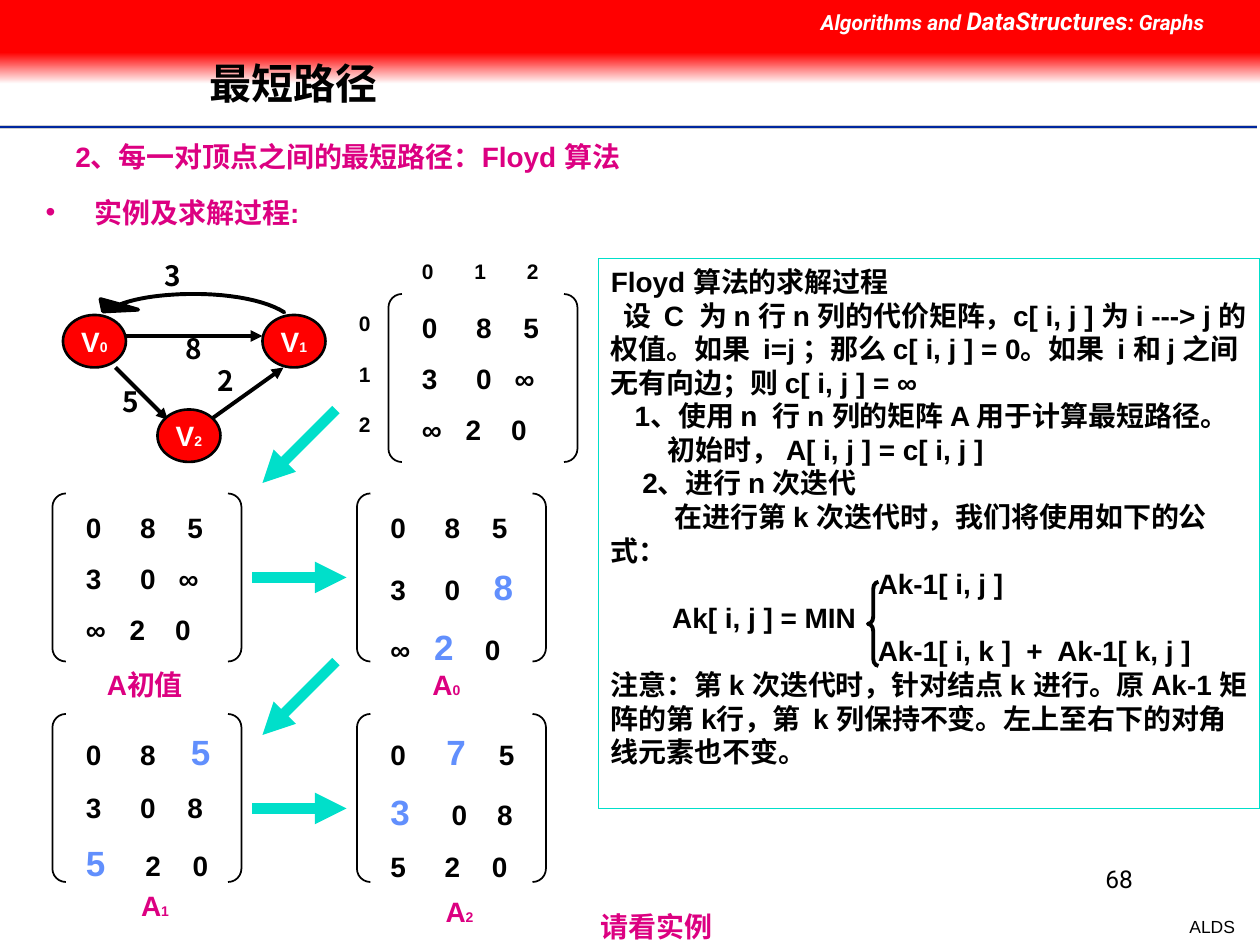
"""Build the slide on Floyd's all-pairs shortest path algorithm with a worked example."""
from lxml.etree import SubElement
from pptx import Presentation
from pptx.dml.color import RGBColor
from pptx.enum.shapes import MSO_CONNECTOR, MSO_SHAPE
from pptx.enum.text import MSO_ANCHOR, PP_ALIGN
from pptx.oxml.ns import qn
from pptx.util import Pt

RED = RGBColor(0xFF, 0x00, 0x00)
WHITE = RGBColor(0xFF, 0xFF, 0xFF)
BLACK = RGBColor(0x00, 0x00, 0x00)
NAVY = RGBColor(0x00, 0x27, 0x9F)
SILVER = RGBColor(0xCE, 0xCE, 0xCE)
MAGENTA = RGBColor(0xDC, 0x00, 0x81)
TEAL = RGBColor(0x00, 0xDF, 0xCA)
BLUE = RGBColor(0x61, 0x8F, 0xFD)

RULES = [(72.7, SILVER, 2), (72.7, NAVY, 1), (74.2, WHITE, 1)]
VERTICES = [("0", 36, 180), ("1", 150, 180), ("2", 90, 234)]
EDGES = [(72, 192, 150, 192), (66, 210, 96, 240), (120, 240, 162, 210)]
WEIGHTS = [("3", 78, 144), ("8", 90, 186), ("5", 54, 216), ("2", 108, 204)]
STEPS = [(192, 234, 150, 276), (144, 330, 198, 330),
         (192, 378, 150, 420), (144, 462, 198, 462)]
ARC = [[(68.5, 174), (79, 170), (94.5, 168), (111, 168)],
       [(111, 168), (133, 168), (152.5, 172), (162.5, 178.5)]]
ARC_HEAD = [(57.5, 171), (59, 178), (79, 177)]

# Each cell is an offset from the row start and a value; a star marks an updated value.
COSTS = [[(0, "0"), (31, "8"), (58, "5")],
         [(0, "3"), (31, "0"), (53, "∞")],
         [(0, "∞"), (25, "2"), (51, "0")]]
A0 = [[(0, "0"), (31, "8"), (58, "5")],
      [(0, "3"), (31, "0"), (59, "8*")],
      [(0, "∞"), (25, "2*"), (54, "0")]]
A1 = [[(0, "0"), (31, "8"), (60, "5*")],
      [(0, "3"), (31, "0"), (58, "8")],
      [(0, "5*"), (34, "2"), (61, "0")]]
A2 = [[(0, "0"), (32, "7*"), (62, "5")],
      [(0, "3*"), (35, "0"), (61, "8")],
      [(0, "5"), (31, "2"), (58, "0")]]
MATRICES = [(222, 168, COSTS), (30, 282, COSTS), (204, 282, A0),
            (30, 408, A1), (204, 408, A2)]
COLUMN_INDEX = [(0, "0"), (30, "1"), (60, "2")]
CAPTIONS = [("A初值", "", 54, 378), ("A", "0", 240, 378),
            ("A", "1", 73.5, 504), ("A", "2", 247.5, 507.5)]

# Each line has its left margin, its first-line indent and its wording.
EXPLANATION = [
    (0, 0, "Floyd 算法的求解过程"),
    (0, 7, "设  C  为 n 行 n 列的代价矩阵，c[ i, j ] 为 i ---> j 的权值。如果  i=j ；"
           "那么 c[ i, j ] = 0。如果  i 和 j 之间无有向边；则 c[ i, j ] = ∞"),
    (0, 13.6, "1、使用 n  行 n 列的矩阵 A 用于计算最短路径。"),
    (0, 32.6, "初始时， A[ i, j ] = c[ i, j ]"),
    (0, 18, "2、进行 n 次迭代"),
    (0, 36.6, "在进行第 k 次迭代时，我们将使用如下的公式："),
    (152.5, 0, "Ak-1[ i, j ]"),
    (35, 0, "Ak[ i, j ] = MIN"),
    (152.5, 0, "Ak-1[ i, k ]  +  Ak-1[ k, j ]"),
    (0, 0, "注意：第 k 次迭代时，针对结点 k 进行。原 Ak-1 矩阵的第 k行，第  k 列保持不变。"
           "左上至右下的对角线元素也不变。"),
]

deck = Presentation()
deck.slide_width, deck.slide_height = Pt(720), Pt(540)
shapes = deck.slides.add_slide(deck.slide_layouts[6]).shapes


def style(font, size=16, color=BLACK, name="Arial", bold=True, italic=None):
    font.size, font.name, font.bold, font.italic = Pt(size), name, bold, italic
    font.color.rgb = color


def add_paragraph(frame, first, wording, margin=0, indent=0, before=0, align=None,
                  stops=(), bullet=None, **look):
    paragraph = frame.paragraphs[0] if first else frame.add_paragraph()
    paragraph.alignment = align
    if before and not first:
        paragraph.space_before = Pt(before)
    properties = paragraph._p.get_or_add_pPr()
    properties.set("hangingPunct", "0")
    if margin or indent:
        properties.set("marL", str(Pt(margin)))
        properties.set("indent", str(Pt(indent)))
    if bullet:
        SubElement(properties, qn("a:buFont")).set("typeface", "Arial")
        SubElement(properties, qn("a:buChar")).set("char", bullet)
    if stops:
        tabs = SubElement(properties, qn("a:tabLst"))
        for stop in stops:
            SubElement(tabs, qn("a:tab"), pos=str(Pt(stop)), algn="l")
    style(paragraph.font, **look)
    for part, size, color in wording if isinstance(wording, list) else [(wording, None, None)]:
        run = paragraph.add_run()
        run.text = part
        if size:
            run.font.size = Pt(size)
        if color is not None:
            run.font.color.rgb = color


def add_label(wording, left, top, width, height=26.5, wrap=True, **look):
    frame = shapes.add_textbox(Pt(left), Pt(top), Pt(width), Pt(height)).text_frame
    frame.word_wrap = wrap
    add_paragraph(frame, True, wording, **look)
    return frame


def add_block(preset, left, top, width, height, fill=None, line=None, weight=1):
    block = shapes.add_shape(preset, Pt(left), Pt(top), Pt(width), Pt(height))
    finish(block, fill, line, weight)
    return block


def finish(block, fill, line, weight):
    block.shadow.inherit = False
    if fill is None:
        block.fill.background()
    else:
        block.fill.solid()
        block.fill.fore_color.rgb = fill
    if line is None:
        block.line.fill.background()
    else:
        block.line.color.rgb, block.line.width = line, Pt(weight)


def add_line(x1, y1, x2, y2, color, weight, arrow=True):
    line = shapes.add_connector(MSO_CONNECTOR.STRAIGHT, Pt(x1), Pt(y1), Pt(x2), Pt(y2))
    line.line.color.rgb, line.line.width = color, Pt(weight)
    if arrow:
        SubElement(line.line._get_or_add_ln(), qn("a:tailEnd")).set("type", "triangle")
    SubElement(line._element.spPr, qn("a:effectLst"))


def bezier(points, steps=12):
    for step in range(steps + 1):
        t = step / steps
        factors = ((1 - t) ** 3, 3 * t * (1 - t) ** 2, 3 * t * t * (1 - t), t ** 3)
        yield tuple(Pt(sum(f * p[axis] for f, p in zip(factors, points))) for axis in (0, 1))


def add_row(frame, first, cells, **look):
    runs = [(("\t" if offset else "") + value.rstrip("*"),
             20 if "*" in value else None, BLUE if "*" in value else None)
            for offset, value in cells]
    add_paragraph(frame, first, runs, stops=[offset for offset, _ in cells if offset], **look)


for y, color, weight in RULES:
    add_line(0, y, 718.5, y, color, weight, arrow=False)
fade = add_block(MSO_SHAPE.RECTANGLE, 0, 30, 720, 18)
fade.fill.gradient()
fade.fill.gradient_angle = 270
for stop, color, position in zip(fade.fill.gradient_stops, (RED, WHITE), (0, 1)):
    stop.color.rgb, stop.position = color, position
add_block(MSO_SHAPE.RECTANGLE, 0, 0, 720, 30, RED)
add_label([("Algorithms and ", None, None), ("DataStructures", 14, None), (": Graphs", None, None)],
          462, 0, 258, 24.5, size=12, color=WHITE, name="Roboto", italic=True)
add_label("ALDS", 672.5, 520, 40.3, 19.5, wrap=False, align=PP_ALIGN.RIGHT, size=10, bold=False)
add_label("68", 516, 490.3, 138.5, 36, align=PP_ALIGN.RIGHT, size=14, name="Roboto", bold=False)
title = add_label("最短路径", 112.5, 22.7, 543.5, 53.3, size=24)
title.vertical_anchor = MSO_ANCHOR.MIDDLE
title.paragraphs[0].line_spacing = 0.9
add_label("2、每一对顶点之间的最短路径：Floyd 算法", 0, 76, 720, margin=36, color=MAGENTA)
add_label("实例及求解过程:", 0, 108, 378, margin=47, indent=-28, bullet="•", color=MAGENTA)

for edge in EDGES:
    add_line(*edge, BLACK, 2.25)
curve = [point for piece in ARC for point in bezier(piece)]
outline = curve + curve[-2::-1] + [(Pt(x), Pt(y)) for x, y in ARC_HEAD]
builder = shapes.build_freeform(*outline[0], scale=1.0)
builder.add_line_segments(outline[1:], close=True)
finish(builder.convert_to_shape(), BLACK, BLACK, 2.25)
for index, left, top in VERTICES:
    vertex = add_block(MSO_SHAPE.OVAL, left, top, 36, 30, RED, BLACK, 1.5).text_frame
    vertex.word_wrap, vertex.vertical_anchor = False, MSO_ANCHOR.MIDDLE
    add_paragraph(vertex, True, [("V", None, None), (index, 8, None)],
                  align=PP_ALIGN.CENTER, color=WHITE)
for weight, left, top in WEIGHTS:
    add_label(weight, left, top, 42, align=PP_ALIGN.CENTER, name="Noto Sans CJK SC")

panel = add_block(MSO_SHAPE.RECTANGLE, 342, 147.6, 378, 314.4, WHITE, TEAL, 0.75).text_frame
panel.word_wrap, panel.vertical_anchor = True, MSO_ANCHOR.TOP
for number, (margin, indent, wording) in enumerate(EXPLANATION):
    add_paragraph(panel, number == 0, wording, margin, indent, align=PP_ALIGN.LEFT)
brace = add_block(MSO_SHAPE.LEFT_BRACE, 496, 332.5, 6, 48, None, BLACK, 2.25)
brace.adjustments[0] = 0.67

for left, top, rows in MATRICES:
    bracket = add_block(MSO_SHAPE.DOUBLE_BRACKET, left, top, 108, 96, None, BLACK)
    bracket.adjustments[0] = 0.08
    body = shapes.add_textbox(Pt(left + 12), Pt(top + 6), Pt(90), Pt(85)).text_frame
    body.word_wrap = True
    for number, cells in enumerate(rows):
        add_row(body, number == 0, cells, before=12.5 if cells[-1][1] == "8*" else 10)
header = shapes.add_textbox(Pt(234), Pt(144), Pt(84), Pt(21.5)).text_frame
header.word_wrap = True
add_row(header, True, COLUMN_INDEX, size=12)
side = shapes.add_textbox(Pt(198), Pt(174), Pt(21), Pt(79)).text_frame
side.word_wrap = False
for number, (_, index) in enumerate(COLUMN_INDEX):
    add_paragraph(side, number == 0, index, before=14.5, size=12)

for name, index, left, top in CAPTIONS:
    add_label([(name, None, None)] + ([(index, 8, None)] if index else []),
              left, top, 40 if index else 70, color=MAGENTA)
for step in STEPS:
    add_line(*step, TEAL, 6)
add_label("请看实例", 336, 516, 132, color=MAGENTA)

deck.save("out.pptx")
